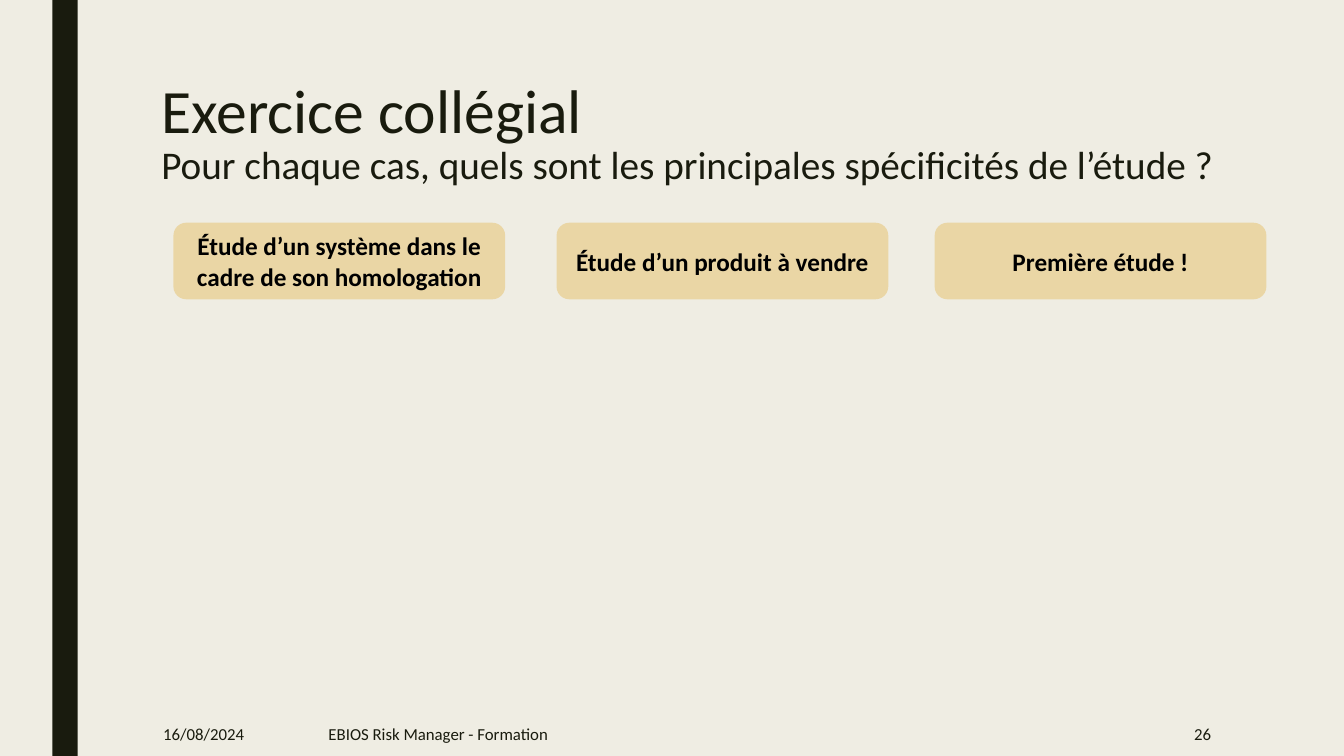
from dataclasses import dataclass

import pptx
import pptx.dml.color
import pptx.enum.shapes
import pptx.enum.text
import pptx.oxml
import pptx.oxml.ns
import pptx.util
from pptx.util import Inches

ALIGN = pptx.enum.text.PP_ALIGN
ANCHOR = pptx.enum.text.MSO_ANCHOR
SHAPES = pptx.enum.shapes.MSO_SHAPE


@dataclass(frozen=True)
class Theme:
    font: str = "Calibri"
    background: str = "EFEDE3"
    dark: str = "191B0E"
    card: str = "E6C069"
    card_text: str = "000000"
    card_opacity: int = 50
    title_size: int = 44
    subtitle_size: int = 28
    card_size: int = 18
    footer_size: int = 12


THEME = Theme()
CARD_TOP, CARD_WIDTH, CARD_HEIGHT = 2.21, 3.29, 0.76
CARDS = [
    (1.72, "Étude d’un système dans le cadre de son homologation"),
    (5.52, "Étude d’un produit à vendre"),
    (9.27, "Première étude !"),
]
FOOTERS = [
    (1.52, 1.32, "16/08/2024", ALIGN.LEFT),
    (3.16, 6.87, "EBIOS Risk Manager - Formation", ALIGN.LEFT),
    (10.36, 1.75, "26", ALIGN.RIGHT),
]


def rgb(value):
    return pptx.dml.color.RGBColor.from_string(value)


def format_run(run, size, color=THEME.dark, bold=False):
    run.font.name = THEME.font
    run.font.size = pptx.util.Pt(size)
    run.font.color.rgb = rgb(color)
    run.font.bold = bold


def set_label(shape, text, size, alignment, color=THEME.dark, bold=False):
    """Write one vertically centred paragraph in a shape."""
    frame = shape.text_frame
    frame.text = text
    frame.word_wrap = True
    frame.vertical_anchor = ANCHOR.MIDDLE
    paragraph = frame.paragraphs[0]
    paragraph.alignment = alignment
    format_run(paragraph.runs[0], size, color, bold)


def add_filled_shape(slide, kind, left, top, width, height, color):
    shape = slide.shapes.add_shape(
        kind, Inches(left), Inches(top), Inches(width), Inches(height))
    shape.shadow.inherit = False
    shape.fill.solid()
    shape.fill.fore_color.rgb = rgb(color)
    shape.line.fill.background()
    return shape


def set_opacity(shape, percent):
    color = shape.fill._xPr.find(".//" + pptx.oxml.ns.qn("a:srgbClr"))
    color.append(pptx.oxml.parse_xml(
        f'<a:alpha {pptx.oxml.ns.nsdecls("a")} val="{percent * 1000}"/>'))


def set_title(slide, heading, question):
    title = slide.shapes.title
    title.left, title.top = Inches(1.5), Inches(0.75)
    title.width, title.height = Inches(10.84), Inches(1.62)
    frame = title.text_frame
    frame.text = f"{heading}\v{question}"
    frame.word_wrap = True
    frame.auto_size = pptx.enum.text.MSO_AUTO_SIZE.NONE
    frame.vertical_anchor = ANCHOR.TOP
    paragraph = frame.paragraphs[0]
    paragraph.alignment = ALIGN.LEFT
    paragraph.line_spacing = 0.89
    for run, size in zip(paragraph.runs, (THEME.title_size, THEME.subtitle_size)):
        format_run(run, size)


def add_card(slide, left, text):
    card = add_filled_shape(slide, SHAPES.FLOWCHART_ALTERNATE_PROCESS,
                            left, CARD_TOP, CARD_WIDTH, CARD_HEIGHT, THEME.card)
    set_opacity(card, THEME.card_opacity)
    set_label(card, text, THEME.card_size, ALIGN.CENTER, THEME.card_text, bold=True)


def add_footer(slide, left, width, text, alignment):
    box = slide.shapes.add_textbox(
        Inches(left), Inches(7.06), Inches(width), Inches(0.44))
    set_label(box, text, THEME.footer_size, alignment)


def main():
    presentation = pptx.Presentation()
    presentation.slide_width = Inches(13.33)
    presentation.slide_height = Inches(7.5)
    slide = presentation.slides.add_slide(presentation.slide_layouts[5])
    slide.background.fill.solid()
    slide.background.fill.fore_color.rgb = rgb(THEME.background)

    add_filled_shape(slide, SHAPES.RECTANGLE, 0.52, 0, 0.25, 7.5, THEME.dark)
    set_title(slide, "Exercice collégial",
              "Pour chaque cas, quels sont les principales spécificités de l’étude ?")
    for footer in FOOTERS:
        add_footer(slide, *footer)
    for card in CARDS:
        add_card(slide, *card)
    presentation.save("out.pptx")


if __name__ == "__main__":
    main()
